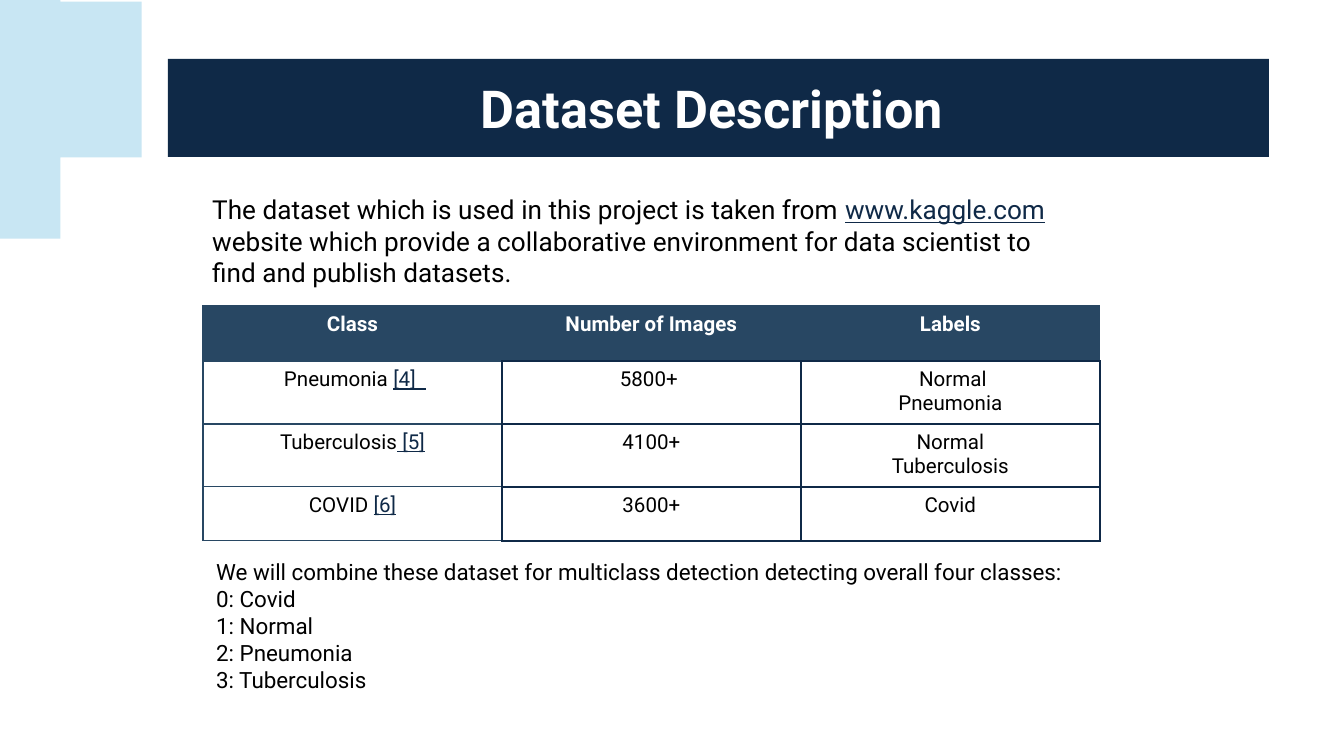
from dataclasses import dataclass
from typing import Any

from lxml import etree
from pptx import Presentation
from pptx import util as u
from pptx.dml.color import RGBColor
from pptx.enum import shapes, text
from pptx.oxml.ns import qn

SCALE = 9144000 / 1344
NAVY, STEEL, SKY = "0F2947", "284763", "C8E6F3"
WHITE, BLACK = "FFFFFF", "000000"


def px(length):
    return u.Emu(round(length * SCALE))


def color(value):
    return RGBColor.from_string(value)


@dataclass
class SlideBuilder:
    slide: Any
    font: str = "Roboto"

    def add_lines(self, frame, lines, size, ink=BLACK, bold=False, align=text.PP_ALIGN.LEFT):
        for index, line in enumerate(lines):
            paragraph = frame.paragraphs[0] if index == 0 else frame.add_paragraph()
            paragraph.alignment = align
            for piece in [line] if isinstance(line, str) else line:
                words, linked = (piece, False) if isinstance(piece, str) else piece
                run = paragraph.add_run()
                run.text = words
                formats = {"name": self.font, "size": u.Pt(size), "bold": bold, "underline": linked}
                for key, value in formats.items():
                    setattr(run.font, key, value)
                run.font.color.rgb = color(NAVY if linked else ink)

    def block(self, kind, box, fill):
        shape = self.slide.shapes.add_shape(kind, *map(px, box))
        shape.shadow.inherit = False
        shape.fill.solid()
        shape.fill.fore_color.rgb = color(fill)
        shape.line.fill.background()
        return shape

    def banner(self, box, title):
        frame = self.block(shapes.MSO_SHAPE.RECTANGLE, box, NAVY).text_frame
        frame.vertical_anchor = text.MSO_ANCHOR.MIDDLE
        self.add_lines(frame, [title], 28, WHITE, True, text.PP_ALIGN.CENTER)

    def note(self, box, lines, size):
        frame = self.slide.shapes.add_textbox(*map(px, box)).text_frame
        frame.word_wrap = True
        self.add_lines(frame, lines, size)

    def border(self, cell, side, ink, width):
        line = etree.SubElement(cell._tc.get_or_add_tcPr(), qn(f"a:ln{side}"), w=str(u.Pt(width)))
        fill = etree.SubElement(line, qn("a:solidFill"))
        etree.SubElement(fill, qn("a:srgbClr"), val=ink)

    def table(self, box, heights, rows):
        grid = self.slide.shapes.add_table(len(rows), len(rows[0]), *map(px, box)).table
        for column in grid.columns:
            column.width = px(box[2] / len(rows[0]))
        for r, (height, row) in enumerate(zip(heights, rows)):
            grid.rows[r].height = px(height)
            for c, lines in enumerate(row):
                cell = grid.cell(r, c)
                header = r == 0
                for side in "LRTB":
                    pale = (header and side != "B") or (c == 0 and side != "R")
                    self.border(cell, side, *((STEEL, 0.75) if pale else (NAVY, 1)))
                if header:
                    cell.fill.solid()
                    cell.fill.fore_color.rgb = color(STEEL)
                else:
                    cell.fill.background()
                self.add_lines(cell.text_frame, lines, 11, WHITE if header else BLACK,
                               header, text.PP_ALIGN.CENTER)


def main():
    deck = Presentation()
    deck.slide_width, deck.slide_height = px(1344), px(756)
    page = SlideBuilder(deck.slides.add_slide(deck.slide_layouts[6]))

    corner_plus = page.block(shapes.MSO_SHAPE.MATH_PLUS, (-234, -137, 433, 433), SKY)
    corner_plus.adjustments[0] = 0.36
    page.banner((168, 59, 1101, 98), "Dataset Description ")
    page.note((199, 187, 880, 109), [[
        "The dataset which is used in this project is taken from ",
        ("www.kaggle.com", True),
        " website which provide a collaborative environment for data scientist"
        " to find and publish datasets.",
    ]], 14)

    datasets = [
        [["Class"], ["Number of Images"], ["Labels"]],
        [[[" Pneumonia ", ("[4]  ", True)]], ["5800+ "], [" Normal", "Pneumonia"]],
        [[["Tuberculosis", (" [5]", True)]], ["4100+"], ["Normal", "Tuberculosis"]],
        [[["COVID ", ("[6]", True)]], ["3600+"], ["Covid"]],
    ]
    page.table((203, 306, 897, 235), (55, 63, 63, 54), datasets)

    classes = ["Covid", "Normal", "Pneumonia", "Tuberculosis"]
    summary = "We will combine these dataset for multiclass detection detecting overall four classes:"
    page.note((203, 552, 957, 149),
              [summary] + [f"{number}: {name}" for number, name in enumerate(classes)], 12)
    deck.save("out.pptx")


if __name__ == "__main__":
    main()
